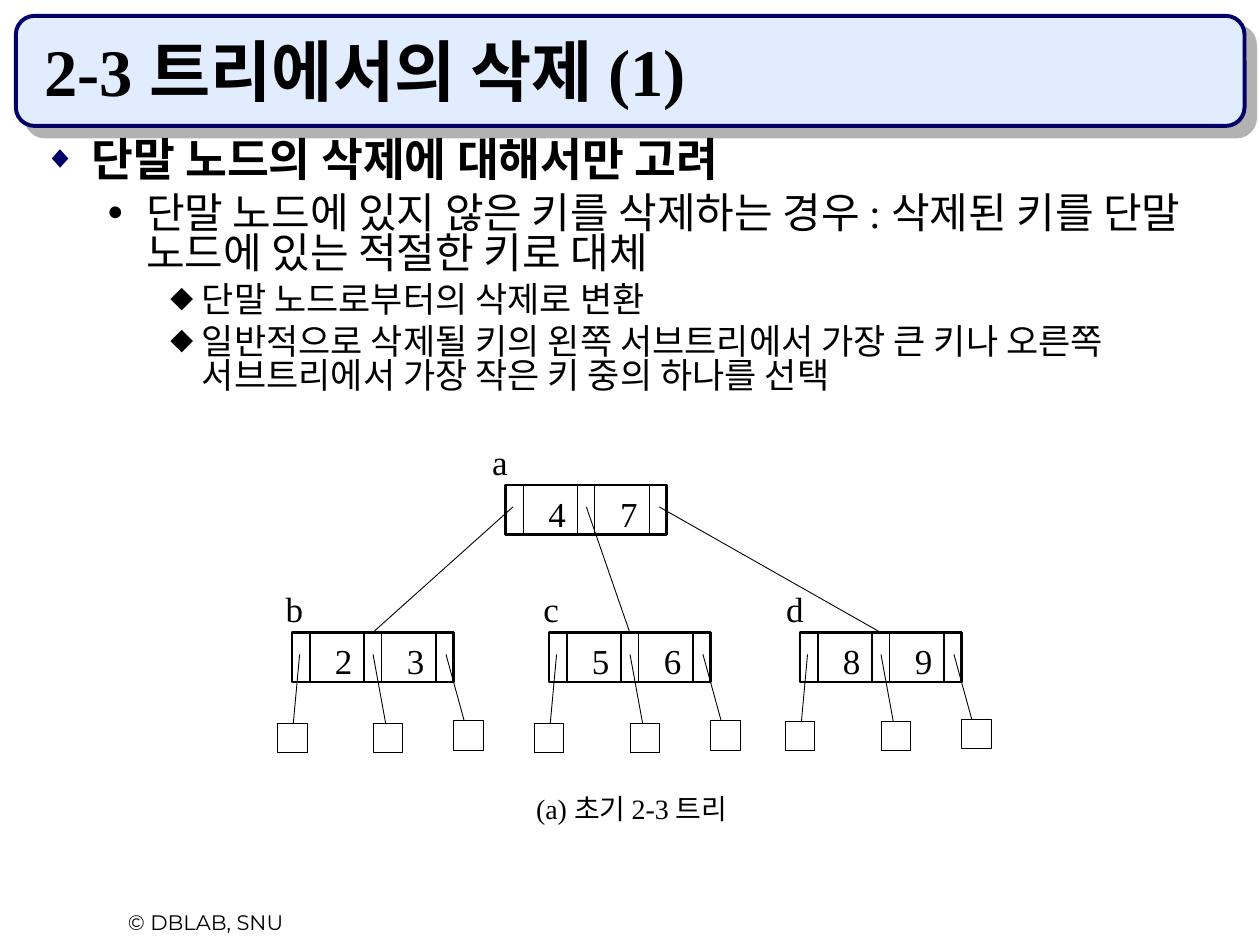
from dataclasses import dataclass

from lxml.etree import SubElement
from pptx import Presentation
from pptx.dml.color import RGBColor
from pptx.enum.shapes import MSO_CONNECTOR, MSO_SHAPE
from pptx.enum.text import MSO_ANCHOR, PP_ALIGN
from pptx.oxml.ns import qn
from pptx.util import Cm, Pt


@dataclass(frozen=True)
class Theme:
    ink: RGBColor = RGBColor(0x00, 0x00, 0x00)
    paper: RGBColor = RGBColor(0xFF, 0xFF, 0xFF)
    navy: RGBColor = RGBColor(0x00, 0x00, 0x66)
    banner: RGBColor = RGBColor(0xE1, 0xEC, 0xFF)
    shadow: RGBColor = RGBColor(0xB2, 0xB2, 0xB2)
    serif: str = "Times New Roman"
    sans: str = "Montserrat"
    title: int = 38
    levels: tuple = (26, 24, 20)
    key: int = 20
    caption: int = 16
    footer: int = 12


theme = Theme()
prs = Presentation()
prs.slide_width, prs.slide_height = Cm(25.4), Cm(19.05)
slide = prs.slides.add_slide(prs.slide_layouts[6])
shapes = slide.shapes


def add_text(text, left, top, width, height, size, *, font=theme.serif,
             align=PP_ALIGN.CENTER, margins=(0.25, 0.13), wrap=False):
    box = shapes.add_textbox(Cm(left), Cm(top), Cm(width), Cm(height))
    frame = box.text_frame
    frame.word_wrap = wrap
    frame.margin_left = frame.margin_right = Cm(margins[0])
    frame.margin_top = frame.margin_bottom = Cm(margins[1])
    paragraph = frame.paragraphs[0]
    paragraph.text = text
    paragraph.alignment = align
    paragraph.font.name = font
    paragraph.font.size = Pt(size)
    paragraph.font.color.rgb = theme.ink
    return frame


def add_line(x1, y1, x2, y2, weight):
    line = shapes.add_connector(MSO_CONNECTOR.STRAIGHT, Cm(x1), Cm(y1), Cm(x2), Cm(y2))
    line.line.color.rgb = theme.ink
    line.line.width = Pt(weight)
    SubElement(line._element.spPr, qn("a:effectLst"))
    return line


# Title banner with a hard offset shadow
banner = shapes.add_shape(MSO_SHAPE.ROUNDED_RECTANGLE, Cm(0.32), Cm(0.32), Cm(24.77), Cm(2.22))
banner.adjustments[0] = 0.17
banner.fill.solid()
banner.fill.fore_color.rgb = theme.banner
banner.line.color.rgb = theme.navy
banner.line.width = Pt(2.25)
banner.shadow.inherit = False
effects = banner._element.spPr.find(qn("a:effectLst"))
shadow = SubElement(effects, qn("a:outerShdw"), blurRad="0", dist=str(Pt(8.5)),
                    dir=str(45 * 60000), algn="ctr", rotWithShape="0")
SubElement(shadow, qn("a:srgbClr"), val=str(theme.shadow))

# Footer and title
add_text("© DBLAB, SNU", 1.07, 18.21, 6.15, 0.76, theme.footer, font=theme.sans, wrap=True)
title = add_text("2-3 트리에서의 삭제 (1)", 0.64, 0.64, 23.93, 1.7, theme.title,
                 align=PP_ALIGN.LEFT, wrap=True)
title.vertical_anchor = MSO_ANCHOR.BOTTOM
title.paragraphs[0].font.bold = True

# Outline: level, text
outline = [
    (0, "단말 노드의 삭제에 대해서만 고려"),
    (1, "단말 노드에 있지 않은 키를 삭제하는 경우 : 삭제된 키를 단말 노드에 있는 적절한 키로 대체"),
    (2, "단말 노드로부터의 삭제로 변환"),
    (2, "일반적으로 삭제될 키의 왼쪽 서브트리에서 가장 큰 키나 오른쪽 서브트리에서 가장 작은 키 중의 하나를 선택"),
]
# Per level: text indent, hanging indent, space before, bullet, bullet colour, bullet percent
level_styles = [
    (0.95, 0.95, 0, "◆", theme.navy, 70),
    (2.06, 0.79, 6, "●", theme.ink, 65),
    (3.18, 0.64, 5, "⬥", theme.ink, 100),
]
body_box = shapes.add_textbox(Cm(0.64), Cm(2.74), Cm(23.93), Cm(14.81))
body = body_box.text_frame
body.word_wrap = True
for index, (level, text) in enumerate(outline):
    indent, hanging, before, bullet, bullet_color, percent = level_styles[level]
    item = body.add_paragraph() if index else body.paragraphs[0]
    item.text = text
    item.level = level
    item.line_spacing = 0.8
    item.space_before = Pt(before)
    properties = item._p.get_or_add_pPr()
    properties.set("marL", str(Cm(indent)))
    properties.set("indent", str(-Cm(hanging)))
    color = SubElement(properties, qn("a:buClr"))
    SubElement(color, qn("a:srgbClr"), val=str(bullet_color))
    SubElement(properties, qn("a:buSzPct"), val=str(percent * 1000))
    SubElement(properties, qn("a:buFont"), typeface=theme.serif)
    SubElement(properties, qn("a:buChar"), char=bullet)
    item.font.name = theme.serif
    item.font.size = Pt(theme.levels[level])
    item.font.bold = level == 0
    item.font.color.rgb = theme.ink

# Tree nodes: label, keys, left, top, label offset
tree = [
    ("a", "47", 10.19, 9.78, -0.28),
    ("b", "23", 5.89, 12.75, -0.13),
    ("c", "56", 11.07, 12.75, -0.13),
    ("d", "89", 16.13, 12.75, -0.28),
]
node_width, node_height = 3.25, 1
dividers = (0.36, 1.45, 1.8, 2.9)
key_offsets = (0.86, 2.31)
pointers = (0.15, 1.63, 3.1)
pointer_drop = 0.44

nodes = {}
for label, keys, left, top, label_offset in tree:
    node = shapes.add_shape(MSO_SHAPE.RECTANGLE, Cm(left), Cm(top),
                            Cm(node_width), Cm(node_height))
    node.fill.background()
    node.line.color.rgb = theme.ink
    node.line.width = Pt(1.5)
    node.shadow.inherit = False
    nodes[label] = node
    for offset in dividers:
        add_line(left + offset, top, left + offset, top + node_height, 0.75)
    for key, offset in zip(keys, key_offsets):
        add_text(key, left + offset, top + 0.14, 0.36, 0.84, theme.key, margins=(0, 0))
    add_text(label, left + label_offset, top - 0.9, 0.34, 0.84, theme.key, margins=(0, 0))

# Branches from the root to its children
root_left, root_top = tree[0][2:4]
for (child, _, left, top, _), offset in zip(tree[1:], pointers):
    branch = add_line(root_left + offset, root_top + pointer_drop,
                      left + node_width / 2, top, 0.5)
    branch.end_connect(nodes[child], 0)

# Empty leaves, each covering the end of its pointer
leaf_width, leaf_height = 0.6, 0.59
leaf_places = ((-0.3, 1.83), (1.63, 1.83), (3.25, 1.78))
for label, _, left, top, _ in tree[1:]:
    lift = 0.03 if label == "d" else 0
    for pointer, (offset, drop) in zip(pointers, leaf_places):
        add_line(left + pointer, top + pointer_drop,
                 left + offset + leaf_width / 2, top + 2.08, 0.5)
        leaf = shapes.add_shape(MSO_SHAPE.RECTANGLE, Cm(left + offset), Cm(top + drop - lift),
                                Cm(leaf_width), Cm(leaf_height))
        leaf.fill.solid()
        leaf.fill.fore_color.rgb = theme.paper
        leaf.line.color.rgb = theme.ink
        leaf.line.width = Pt(0.5)
        leaf.shadow.inherit = False

# Caption
add_text("(a) 초기 2-3 트리", 10.36, 15.82, 4.75, 0.94, theme.caption)

prs.save("out.pptx")
